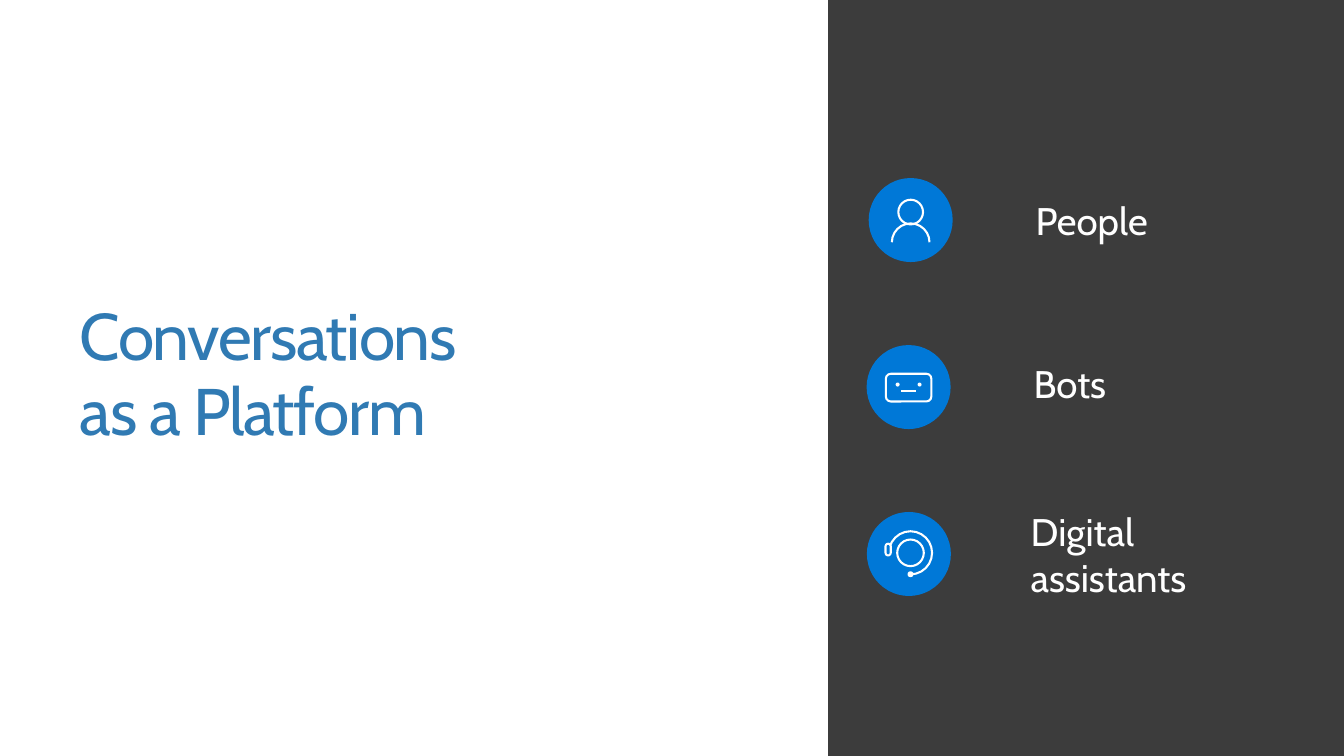
import pptx
import pptx.dml.color
import pptx.enum.shapes
import pptx.enum.text
import pptx.oxml
import pptx.oxml.ns
import pptx.util

Pt = pptx.util.Pt
Shape = pptx.enum.shapes.MSO_SHAPE
Anchor = pptx.enum.text.MSO_ANCHOR

WIDTH, HEIGHT = 979.2, 550.8
COLORS = {
    "background": "F8F8F8",
    "white": "FFFFFF",
    "panel": "3C3C3C",
    "disc": "0078D7",
    "title": "307AB3",
}


def color(name):
    return pptx.dml.color.RGBColor.from_string(COLORS[name])


def set_attributes(target, values):
    for name, value in values.items():
        setattr(target, name, value)


class SlideBuilder:
    font_name = "Cabin"
    stroke = 1.5
    disc_size = 61.2

    def __init__(self, slide):
        self.slide = slide
        self.shapes = slide.shapes
        fill = slide.background.fill
        fill.solid()
        fill.fore_color.rgb = color("background")

    def shape(self, kind, center, size, fill=None, line=None, adjustments=()):
        (x, y), (width, height) = center, size
        shape = self.shapes.add_shape(
            kind, Pt(x - width / 2), Pt(y - height / 2), Pt(width), Pt(height))
        shape.shadow.inherit = False
        for index, value in enumerate(adjustments):
            shape.adjustments[index] = value
        if fill:
            shape.fill.solid()
            shape.fill.fore_color.rgb = color(fill)
        else:
            shape.fill.background()
        if line:
            shape.line.color.rgb = color(line)
            shape.line.width = Pt(self.stroke)
        else:
            shape.line.fill.background()

    def circle(self, center, diameter, **style):
        self.shape(Shape.OVAL, center, (diameter, diameter), **style)

    def arc(self, center, diameter, start, end):
        # Arc angles are in degrees, clockwise from the right
        self.shape(Shape.ARC, center, (diameter, diameter), line="white",
                   adjustments=(start * 0.6, end * 0.6))

    def line(self, start, end):
        connector = self.shapes.add_connector(
            pptx.enum.shapes.MSO_CONNECTOR.STRAIGHT, *map(Pt, start + end))
        connector.line.color.rgb = color("white")
        connector.line.width = Pt(self.stroke)
        properties = connector._element.spPr
        properties.append(pptx.oxml.parse_xml(
            "<a:effectLst %s/>" % pptx.oxml.ns.nsdecls("a")))

    def text(self, text, box, size, fill, anchor, paragraph_format, spacing=0):
        frame = self.slide.shapes.add_textbox(*map(Pt, box)).text_frame
        set_attributes(frame, {"word_wrap": True, "vertical_anchor": anchor})
        paragraph = frame.paragraphs[0]
        paragraph.text = text
        set_attributes(paragraph, paragraph_format)
        for run in paragraph.runs:
            set_attributes(run.font, {"name": self.font_name, "size": Pt(size)})
            run.font.color.rgb = color(fill)
            if spacing:
                run.font._element.set("spc", str(spacing * 100))

    def icon(self, center, draw):
        self.shapes = self.slide.shapes.add_group_shape().shapes
        self.circle(center, self.disc_size, fill="disc")
        draw(self, *center)
        self.shapes = self.slide.shapes


def draw_person(builder, x, y):
    builder.circle((x, y - 5.8), 18, line="white")
    builder.arc((x, y + 16.2), 27.4, 180, 0)


def draw_bot(builder, x, y):
    builder.shape(Shape.ROUNDED_RECTANGLE, (x, y + 0.4), (33.2, 20.2),
                  line="white", adjustments=(0.18,))
    builder.line((x - 5.6, y + 3.2), (x + 5.6, y + 3.2))
    for side in (-1, 1):
        builder.circle((x + side * 8, y - 1.8), 2.9, fill="white")


def draw_headset(builder, x, y):
    builder.circle((x + 1.2, y - 0.8), 19.4, line="white")
    builder.arc((x + 1.2, y - 0.8), 31.4, 199, 90)
    builder.shape(Shape.ROUNDED_RECTANGLE, (x - 15.1, y - 3.2), (3.8, 8.6),
                  line="white", adjustments=(0.5,))
    builder.circle((x + 1.2, y + 14.8), 4.3, fill="white")


def main():
    presentation = pptx.Presentation()
    presentation.slide_width, presentation.slide_height = Pt(WIDTH), Pt(HEIGHT)
    slide = presentation.slides.add_slide(presentation.slide_layouts[6])
    builder = SlideBuilder(slide)

    # Background areas
    for left, fill in ((0, "white"), (603.4, "panel")):
        builder.shape(Shape.RECTANGLE, ((left + WIDTH) / 2, HEIGHT / 2),
                      (WIDTH - left, HEIGHT), fill=fill)

    # Participants: label, label box, icon centre and icon drawing
    participants = [
        ("People", (747.4, 139.7, 100.8, 41.8), (663.5, 160.3), draw_person),
        ("Bots", (745.9, 258.5, 73.4, 41.8), (662, 282), draw_bot),
        ("Digital assistants", (743.8, 383, 204, 41), (662.2, 403.6), draw_headset),
    ]
    for label, box, center, draw in participants:
        builder.text(label, box, 28, "white", Anchor.MIDDLE, {"space_after": Pt(6)})
        builder.icon(center, draw)

    # Title
    builder.text("Conversations\vas a Platform", (51.1, 215.3, 380.2, 120.2), 48,
                 "title", Anchor.TOP,
                 {"line_spacing": 0.95, "space_after": Pt(12)}, spacing=-1)

    presentation.save("out.pptx")


if __name__ == "__main__":
    main()
